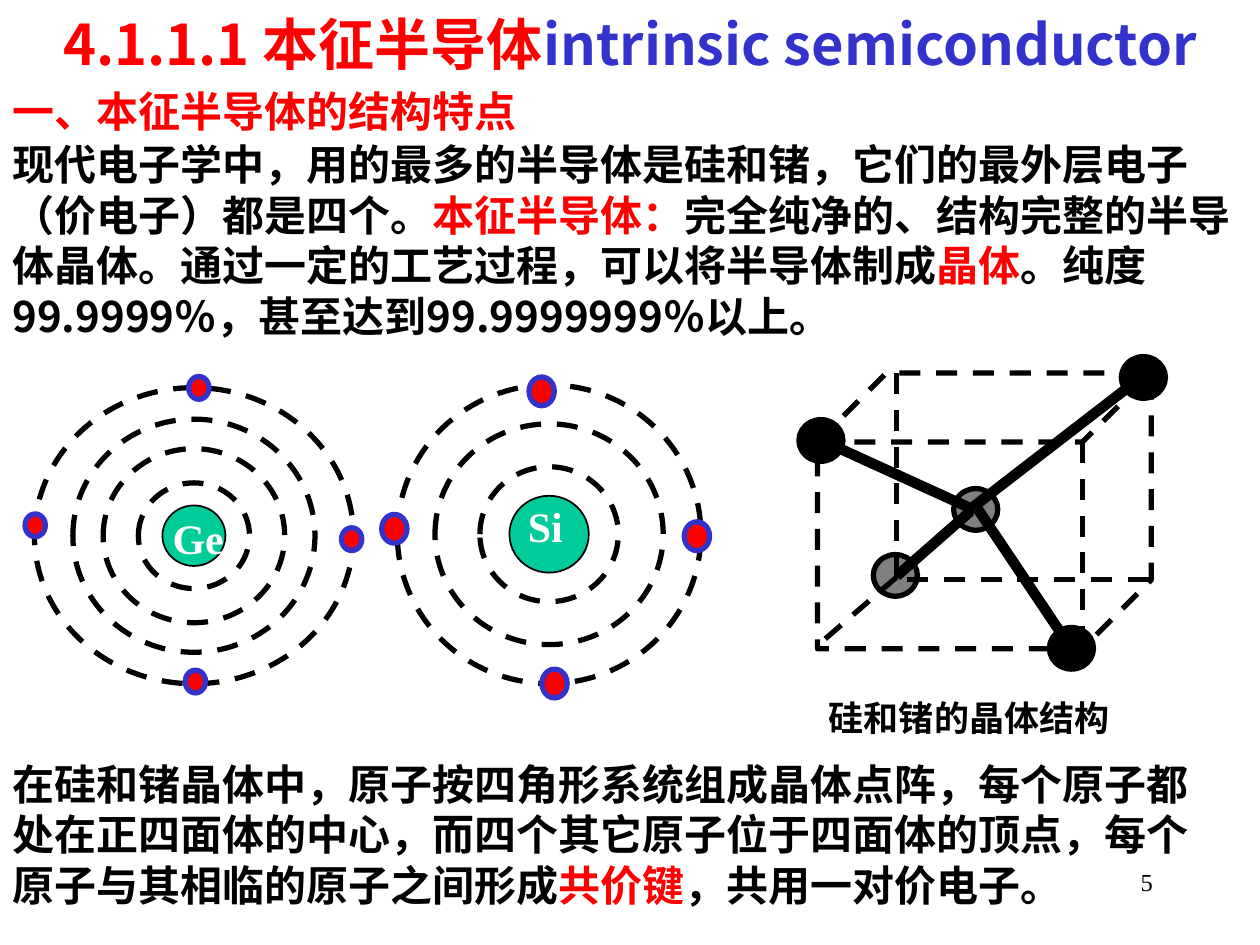
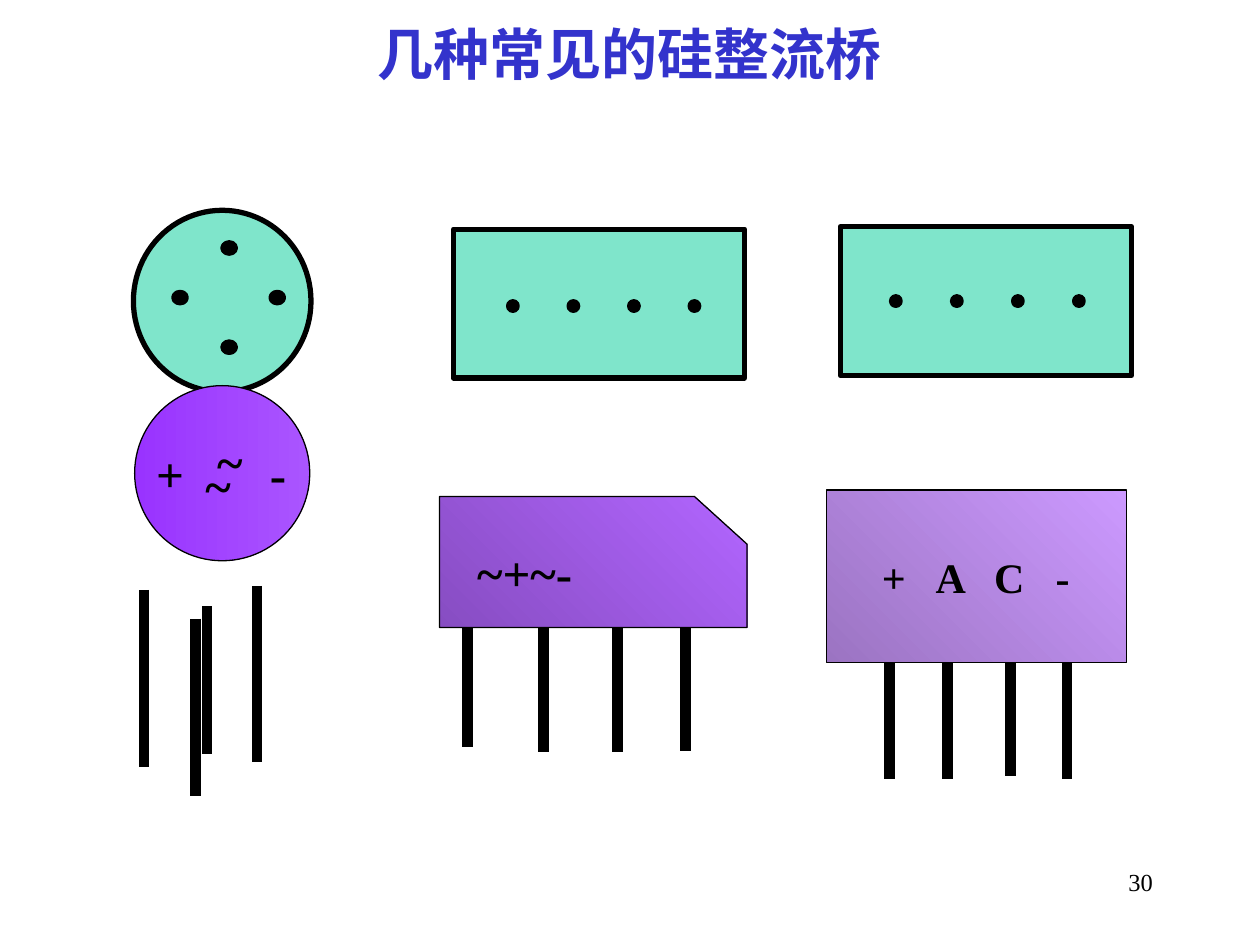
from pptx import Presentation
from pptx.dml.color import RGBColor
from pptx.enum.dml import MSO_LINE
from pptx.enum.shapes import MSO_CONNECTOR, MSO_SHAPE
from pptx.enum.text import MSO_ANCHOR as Anchor, PP_ALIGN as Align
from pptx.oxml.ns import qn
from pptx.util import Cm, Pt
from lxml.etree import SubElement

BLACK = RGBColor(0x00, 0x00, 0x00)
WHITE = RGBColor(0xFF, 0xFF, 0xFF)
RED = RGBColor(0xFF, 0x00, 0x00)
BLUE = RGBColor(0x33, 0x33, 0xCC)
GREEN = RGBColor(0x00, 0xCC, 0x99)
PURPLE = RGBColor(0x99, 0x33, 0xFF)
LIGHT_PURPLE = RGBColor(0xAA, 0x55, 0xFF)
PLUM = RGBColor(0x87, 0x4D, 0xC2)
VIOLET = RGBColor(0xB2, 0x65, 0xFF)
MAUVE = RGBColor(0x9B, 0x74, 0xC2)
LILAC = RGBColor(0xCC, 0x99, 0xFF)

SERIF = "Times New Roman"
SANS = "Noto Sans CJK SC"


def add_run(para, text, size, color=BLACK, bold=True, font=SERIF):
    span = para.add_run()
    span.text = text
    span.font.size = Pt(size)
    span.font.bold = bold
    span.font.name = font
    span.font.color.rgb = color
    SubElement(span.font._element, qn("a:ea")).set("typeface", SANS)


def set_tabs(para, stops):
    tab_list = SubElement(para._p.get_or_add_pPr(), qn("a:tabLst"))
    for stop in stops:
        tab = SubElement(tab_list, qn("a:tab"))
        tab.set("pos", str(Cm(stop)))
        tab.set("algn", "l")


def add_text(page, frame, spans, size=24, line=None, align=Align.LEFT,
             anchor=Anchor.TOP, bold=True):
    box = page.shapes.add_textbox(*map(Cm, frame))
    box.text_frame.word_wrap = True
    box.text_frame.vertical_anchor = anchor
    para = box.text_frame.paragraphs[0]
    para.alignment = align
    if line:
        para.line_spacing = Pt(line)
    for text, color, font in spans:
        add_run(para, text, size, color, bold, font)
    return box


def add_title(page, frame, spans):
    add_text(page, frame, spans, 32, align=Align.CENTER, anchor=Anchor.MIDDLE)


def add_page_number(page, number):
    add_text(page, (18.21, 17.35, 5.28, 1.27), [(number, BLACK, SERIF)], 14,
             align=Align.RIGHT, bold=False)


def style_shape(shape, fill=None, line=BLACK, weight=3.0, alpha=None, dashed=False):
    shape.shadow.inherit = False
    shape.line.color.rgb = line
    shape.line.width = Pt(weight)
    if dashed:
        shape.line.dash_style = MSO_LINE.DASH
    if fill is None:
        shape.fill.background()
    elif isinstance(fill, RGBColor):
        shape.fill.solid()
        shape.fill.fore_color.rgb = fill
    else:
        start, end, angle = fill
        shape.fill.gradient()
        shape.fill.gradient_angle = angle
        for stop, color in zip(shape.fill.gradient_stops, (start, end)):
            stop.color.rgb = color
    if alpha:
        color = shape._element.spPr.find(qn("a:solidFill")).find(qn("a:srgbClr"))
        SubElement(color, qn("a:alpha")).set("val", str(alpha * 1000))
    return shape


def add_preset(page, kind, frame, **style):
    return style_shape(page.shapes.add_shape(kind, *map(Cm, frame)), **style)


def add_oval(page, center, size, **style):
    (x, y), (width, height) = center, size
    frame = (x - width / 2, y - height / 2, width, height)
    return add_preset(page, MSO_SHAPE.OVAL, frame, **style)


def add_line(page, start, end, weight=6, dashed=False):
    line = page.shapes.add_connector(MSO_CONNECTOR.STRAIGHT, *map(Cm, (*start, *end)))
    line.line.color.rgb = BLACK
    line.line.width = Pt(weight)
    if dashed:
        line.line.dash_style = MSO_LINE.DASH
    SubElement(line._element.spPr, qn("a:effectLst"))


def add_atom(page, symbol, label_frame, center, nucleus, orbits, electron, electrons):
    add_oval(page, center, nucleus, fill=GREEN, weight=1)
    for orbit in orbits:
        add_oval(page, center, orbit, dashed=True)
    add_text(page, label_frame, [(symbol, WHITE, SERIF)], line=29)
    for spot in electrons:
        add_oval(page, spot, electron, fill=RED, line=BLUE)


def add_crystal(page):
    add_preset(page, MSO_SHAPE.CUBE, (16.48, 7.52, 6.73, 5.56), dashed=True)
    for start, end in [((18.08, 7.52), (18.08, 11.79)),
                       ((23.16, 11.68), (18.06, 11.68)),
                       ((18.08, 11.63), (16.46, 13.03))]:
        add_line(page, start, end, 3, dashed=True)
    for center, alpha in [((19.67, 10.27), 50), ((16.55, 8.88), None),
                          ((18.05, 11.6), 50), ((23.05, 7.61), None),
                          ((21.6, 13.07), None)]:
        add_oval(page, center, (0.89, 0.84), fill=BLACK, alpha=alpha)
    for start, end in [((16.92, 9.04), (19.66, 10.29)),
                       ((19.56, 10.31), (18.08, 11.61)),
                       ((19.71, 10.26), (21.62, 13.11)),
                       ((19.63, 10.21), (23.09, 7.54))]:
        add_line(page, start, end)
    add_text(page, (16.46, 13.88, 6.65, 1.12), [("硅和锗的晶体结构", BLACK, SERIF)],
             20, line=25)


def add_leads(page, leads):
    for x, top, bottom in leads:
        add_line(page, (x, top), (x, bottom))


def add_pin_plate(page, left, top, first_pin, pin_y, step):
    add_preset(page, MSO_SHAPE.RECTANGLE, (left, top, 5.87, 3), fill=GREEN, alpha=50)
    for index in range(4):
        add_oval(page, (first_pin + index * step, pin_y), (0.2, 0.2),
                 fill=BLACK, weight=2.25)


def add_square_bridge(page):
    add_leads(page, [(17.93, 13.21, 15.7), (19.1, 13.21, 15.7),
                     (20.37, 13.21, 15.65), (21.51, 13.21, 15.7)])
    body = add_preset(page, MSO_SHAPE.RECTANGLE, (16.66, 9.88, 6.05, 3.48),
                      fill=(MAUVE, LILAC, 45), weight=0.75)
    frame = body.text_frame
    frame.margin_left = Cm(1.12)
    frame.vertical_anchor = Anchor.MIDDLE
    para = frame.paragraphs[0]
    para.alignment = Align.LEFT
    set_tabs(para, (1.08, 2.26, 3.5))
    add_run(para, "+\tA\tC\t-", 24)


def add_cut_bridge(page):
    add_leads(page, [(12.45, 11.56, 15.16), (10.96, 11.56, 15.16),
                     (9.42, 11.46, 15.06), (13.82, 11.53, 15.14)])
    corners = [(8.86, 12.65), (15.06, 12.65), (15.06, 10.97), (14, 10.01)]
    outline = page.shapes.build_freeform(Cm(8.86), Cm(10.01))
    outline.add_line_segments([(Cm(x), Cm(y)) for x, y in corners], close=True)
    style_shape(outline.convert_to_shape(), fill=(PLUM, VIOLET, 45), weight=0.75)
    add_text(page, (9.37, 10.8, 5.36, 1.45), [("~+~-", BLACK, SERIF)], 28,
             anchor=Anchor.MIDDLE)


def add_round_bridge(page):
    add_leads(page, [(5.18, 11.81, 15.37), (4.17, 12.22, 15.19),
                     (2.9, 11.89, 15.47), (3.94, 12.47, 16.05)])
    add_oval(page, (4.48, 6.07), (3.58, 3.66), fill=GREEN, alpha=50)
    for pin in [(4.62, 5), (5.59, 6), (3.63, 6), (4.62, 7)]:
        add_oval(page, pin, (0.25, 0.21), fill=BLACK)
    add_oval(page, (4.48, 9.54), (3.53, 3.53), fill=(PURPLE, LIGHT_PURPLE, 0),
             weight=0.75)
    box = add_text(page, (2.9, 9.37, 3.56, 0.97), [], anchor=Anchor.MIDDLE)
    frame = box.text_frame
    for index, (text, indent) in enumerate([("~", 1.23), ("+\t-", 0), ("~", 0.99)]):
        para = frame.add_paragraph() if index else frame.paragraphs[0]
        para._p.get_or_add_pPr().set("marL", str(Cm(indent)))
        if "\t" in text:
            set_tabs(para, [2.29])
        para.line_spacing = 0.2
        add_run(para, text, 28)


def build_semiconductor(page):
    add_page_number(page, "5")
    add_text(page, (0, 1.6, 15.44, 1.27), [("一、本征半导体的结构特点", RED, SERIF)],
             line=29)
    add_atom(page, "Ge", (3.23, 10.19, 1.63, 1.27), (3.91, 10.8), (1.27, 1.22),
             [(3.66, 3.51), (4.88, 4.7), (6.43, 5.97), (2.24, 2.13)], (0.41, 0.46),
             [(7.09, 10.87), (0.71, 10.59), (4.01, 7.82), (3.94, 13.74)])
    add_atom(page, "Si", (10.39, 9.96, 1.85, 1.27), (11.07, 10.77), (1.6, 1.55),
             [(2.79, 2.72), (4.6, 4.45), (6.12, 6.02)], (0.51, 0.58),
             [(7.95, 10.66), (11.18, 13.78), (14.05, 10.81), (10.92, 7.89)])
    add_text(page, (0, 2.66, 25.4, 4.32), [
        ("现代电子学中，用的最多的半导体是硅和锗，它们的最外层电子（价电子）都是四个。",
         BLACK, SERIF),
        ("本征半导体：", RED, SERIF),
        ("完全纯净的、结构完整的半导体晶体。通过一定的工艺过程，可以将半导体制成",
         BLACK, SERIF),
        ("晶体", RED, SERIF),
        ("。", BLACK, SERIF),
        ("纯度 99.9999％，甚至达到99.9999999％以上。", BLACK, SANS),
    ], line=29)
    add_title(page, (0.64, 0, 24.13, 1.73), [("4.1.1.1 本征半导体", RED, SANS),
                                             ("intrinsic semiconductor", BLUE, SANS)])
    add_crystal(page)
    add_text(page, (0, 15.15, 24.71, 3.3), [
        ("在硅和锗晶体中，原子按四角形系统组成晶体点阵，每个原子都处在正四面体的中心，"
         "而四个其它原子位于四面体的顶点，每个原子与其相临的原子之间形成", BLACK, SERIF),
        ("共价键", RED, SERIF),
        ("，共用一对价电子。", BLACK, SERIF),
    ], line=29)


def build_bridges(page):
    add_page_number(page, "30")
    add_square_bridge(page)
    add_pin_plate(page, 16.94, 4.57, 18.06, 6.07, 1.23)
    add_pin_plate(page, 9.14, 4.62, 10.34, 6.17, 1.22)
    add_cut_bridge(page)
    add_round_bridge(page)
    add_title(page, (1.9, 0, 21.59, 2.13), [("几种常见的硅整流桥", BLUE, SERIF)])


def main():
    deck = Presentation()
    deck.slide_width, deck.slide_height = Cm(25.4), Cm(19.05)
    for build in (build_semiconductor, build_bridges):
        build(deck.slides.add_slide(deck.slide_layouts[6]))
    deck.save("out.pptx")


if __name__ == "__main__":
    main()
